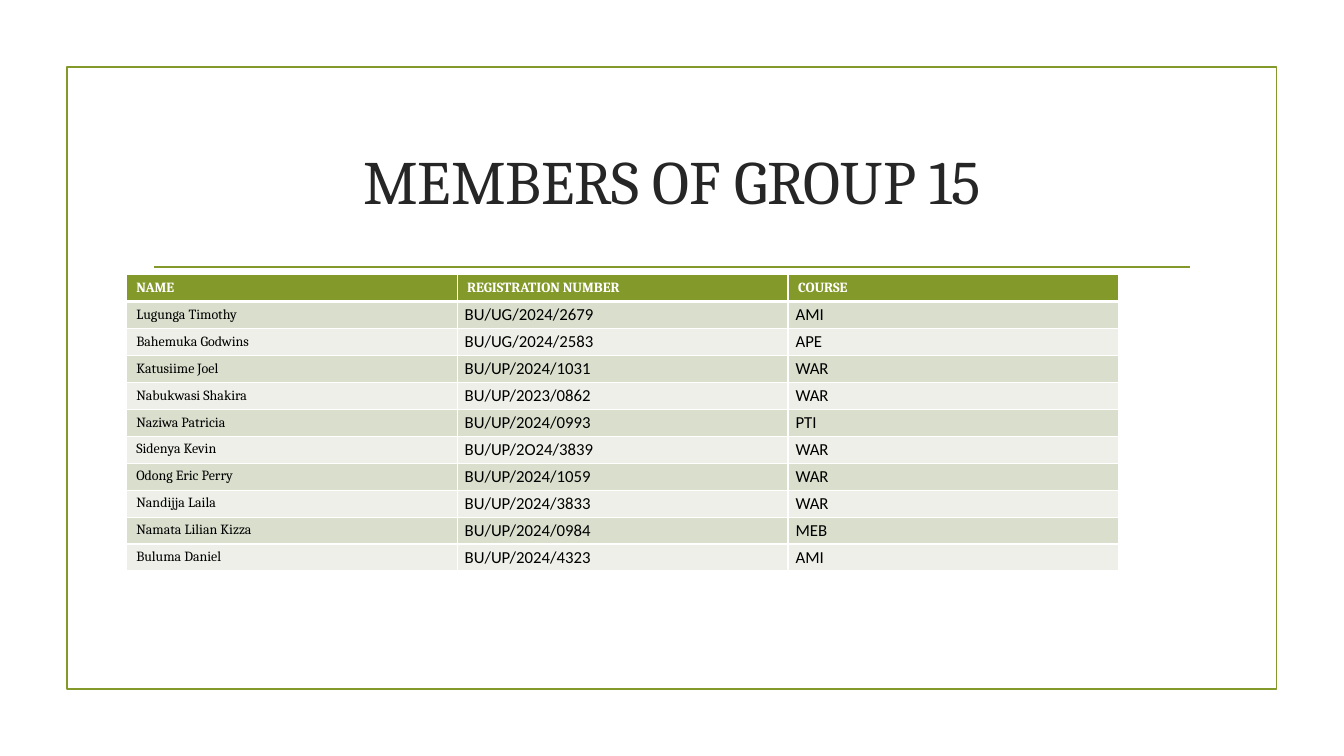
import pptx
import pptx.dml.color
import pptx.enum.shapes
import pptx.enum.text
import pptx.oxml.ns
import pptx.util
from lxml import etree
from pptx.util import Cm, Pt

TITLE = "MEMBERS OF GROUP 15"
HEADINGS = ("NAME", "REGISTRATION NUMBER", "COURSE")
MEMBERS = [
    ("Lugunga Timothy", "BU/UG/2024/2679", "AMI"),
    ("Bahemuka Godwins", "BU/UG/2024/2583", "APE"),
    ("Katusiime Joel", "BU/UP/2024/1031", "WAR"),
    ("Nabukwasi Shakira", "BU/UP/2023/0862", "WAR"),
    ("Naziwa Patricia", "BU/UP/2024/0993", "PTI"),
    ("Sidenya Kevin", "BU/UP/2O24/3839", "WAR"),
    ("Odong Eric Perry", "BU/UP/2024/1059", "WAR"),
    ("Nandijja Laila", "BU/UP/2024/3833", "WAR"),
    ("Namata Lilian Kizza", "BU/UP/2024/0984", "MEB"),
    ("Buluma Daniel", "BU/UP/2024/4323", "AMI"),
]
GREEN, WHITE, BLACK, CHARCOAL = "83992A", "FFFFFF", "000000", "262626"
BANDS = ("D9DECD", "EDEFE8")
COLUMN_WIDTH, ROW_HEIGHT = 8.34, 0.66
ALIGN = pptx.enum.text.PP_ALIGN
MIDDLE = pptx.enum.text.MSO_ANCHOR.MIDDLE


def paint(color_format, color):
    color_format.rgb = pptx.dml.color.RGBColor.from_string(color)


def fill_with(fill, color):
    fill.solid()
    paint(fill.fore_color, color)


def write(frame, text, size=10, font="Cambria", color=BLACK, bold=False,
          align=ALIGN.LEFT, spacing=None, after=None):
    para = frame.paragraphs[0]
    para.alignment = align
    para.line_spacing = spacing
    para.space_after = after
    span = para.add_run()
    span.text = text
    span.font.name = font
    span.font.size = Pt(size)
    span.font.bold = bold
    paint(span.font.color, color)


def add_borders(cell, bottom=1, top=1):
    """Draw white cell borders; call before the cell gets its fill."""
    properties = cell._tc.get_or_add_tcPr()
    for side, points in (("L", 1), ("R", 1), ("T", top), ("B", bottom)):
        border = etree.SubElement(properties, pptx.oxml.ns.qn("a:ln" + side), w=str(Pt(points)))
        solid = etree.SubElement(border, pptx.oxml.ns.qn("a:solidFill"))
        etree.SubElement(solid, pptx.oxml.ns.qn("a:srgbClr"), val=WHITE)


def add_frame(page):
    frame = page.shapes.add_shape(
        pptx.enum.shapes.MSO_SHAPE.RECTANGLE, Cm(1.69), Cm(1.69), Cm(30.48), Cm(15.68))
    frame.shadow.inherit = False
    frame.fill.background()
    paint(frame.line.color, GREEN)
    frame.line.width = Pt(1.25)


def add_rule(page):
    rule = page.shapes.add_connector(
        pptx.enum.shapes.MSO_CONNECTOR.STRAIGHT, Cm(3.89), Cm(6.73), Cm(30), Cm(6.73))
    paint(rule.line.color, GREEN)
    rule.line.width = Pt(1.25)
    etree.SubElement(rule._element.spPr, pptx.oxml.ns.qn("a:effectLst"))


def add_title(page):
    box = page.shapes.add_textbox(Cm(3.61), Cm(2.72), Cm(26.67), Cm(3.63))
    box.text_frame.word_wrap = True
    box.text_frame.vertical_anchor = MIDDLE
    write(box.text_frame, TITLE, size=44, color=CHARCOAL, align=ALIGN.CENTER)


def add_members(page):
    rows = [HEADINGS] + MEMBERS
    table = page.shapes.add_table(
        len(rows), len(HEADINGS), Cm(3.18), Cm(6.92),
        Cm(COLUMN_WIDTH * len(HEADINGS)), Cm(ROW_HEIGHT * len(rows))).table
    for column in table.columns:
        column.width = Cm(COLUMN_WIDTH)
    for r, texts in enumerate(rows):
        table.rows[r].height = Cm(ROW_HEIGHT)
        for c, text in enumerate(texts):
            cell = table.cell(r, c)
            add_borders(cell, bottom=3 if r == 0 else 1, top=3 if r == 1 else 1)
            fill_with(cell.fill, GREEN if r == 0 else BANDS[(r - 1) % 2])
            if r == 0:
                write(cell.text_frame, text, color=WHITE, bold=True)
            elif c == 0:
                write(cell.text_frame, text)
            else:
                cell.margin_left = cell.margin_right = Cm(0.19)
                cell.margin_top = cell.margin_bottom = 0
                write(cell.text_frame, text, size=12, font="Calibri",
                      align=ALIGN.JUSTIFY, spacing=1.15, after=Pt(8))


def main():
    deck = pptx.Presentation()
    deck.slide_width, deck.slide_height = Cm(33.87), Cm(19.05)
    page = deck.slides.add_slide(deck.slide_layouts[6])
    fill_with(page.background.fill, WHITE)
    add_frame(page)
    add_rule(page)
    add_title(page)
    add_members(page)
    deck.save("out.pptx")


if __name__ == "__main__":
    main()
